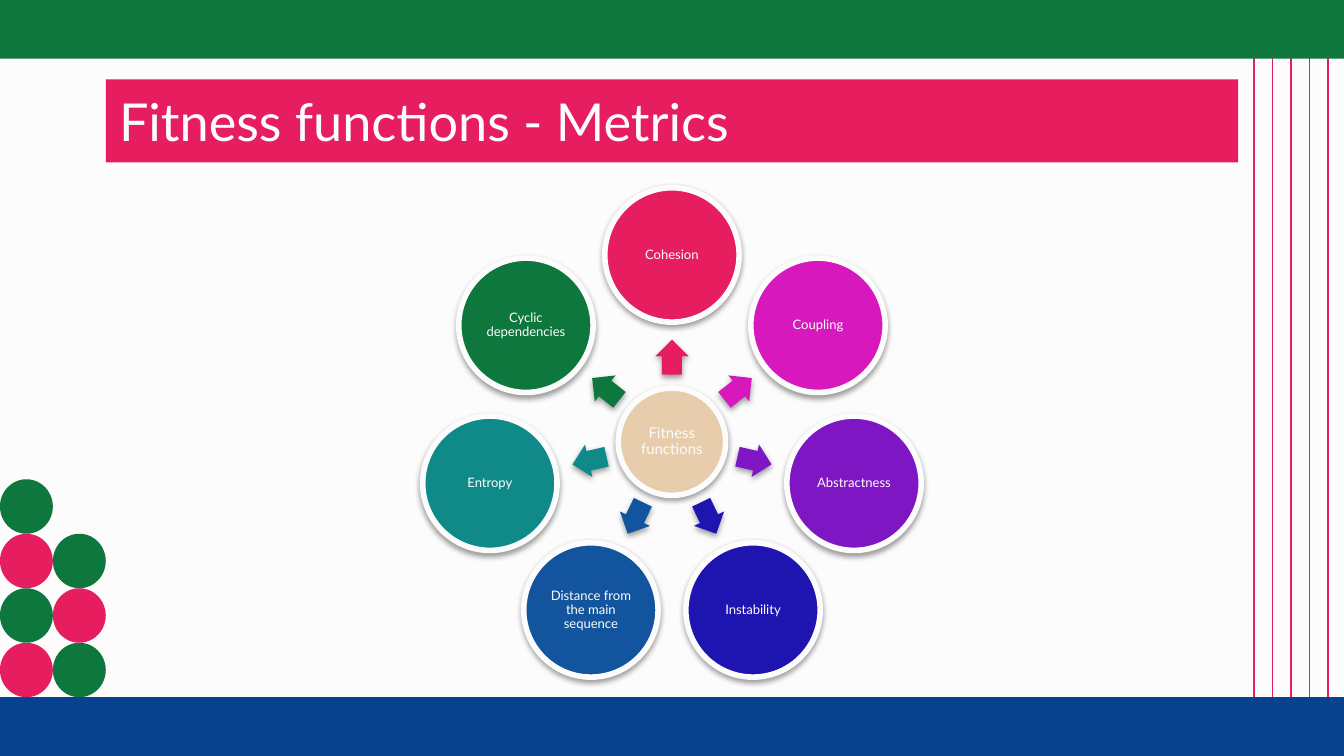
"""Build the fitness functions metrics slide."""
import math

from lxml import etree
from pptx import Presentation
from pptx import util as u
from pptx.dml.color import RGBColor
from pptx.enum import shapes, text
from pptx.oxml import ns

PAPER = RGBColor(0xFC, 0xFC, 0xFC)
PINK = RGBColor(0xE6, 0x1D, 0x5E)
GREEN = RGBColor(0x0E, 0x77, 0x3D)
NAVY = RGBColor(0x08, 0x41, 0x8E)
SAND = RGBColor(0xE7, 0xCD, 0xAC)
METRICS = [
    ("Cohesion", PINK),
    ("Coupling", RGBColor(0xD6, 0x18, 0xBC)),
    ("Abstractness", RGBColor(0x7E, 0x16, 0xC3)),
    ("Instability", RGBColor(0x1E, 0x14, 0xB0)),
    ("Distance from the main sequence", RGBColor(0x12, 0x54, 0x9D)),
    ("Entropy", RGBColor(0x10, 0x8A, 0x88)),
    ("Cyclic dependencies", GREEN),
]
WIDTH, HEIGHT = 25.4, 14.29
BAR_HEIGHT = 1.11
FLOOR = HEIGHT - BAR_HEIGHT
HUB_X, HUB_Y = 12.7, 8.35
METRIC_RADIUS, ARROW_RADIUS = 3.53, 1.6


def write_text(shape, words, size, align, inset, spacing=1.0, font="Lato", color=PAPER):
    frame = shape.text_frame
    frame.word_wrap = True
    frame.auto_size = text.MSO_AUTO_SIZE.NONE
    frame.vertical_anchor = text.MSO_ANCHOR.MIDDLE
    frame.margin_left = frame.margin_right = u.Cm(inset)
    frame.margin_top = frame.margin_bottom = u.Cm(inset)
    frame.text = words
    paragraph = frame.paragraphs[0]
    paragraph.alignment = align
    paragraph.line_spacing = spacing
    paragraph.font.size = u.Pt(size)
    paragraph.font.name = font
    paragraph.font.color.rgb = color


def add_shadow(shape):
    effects = shape._element.spPr.find(ns.qn("a:effectLst"))
    shadow = etree.SubElement(effects, ns.qn("a:outerShdw"), blurRad="40000",
                              dist="20000", dir="5400000", rotWithShape="0")
    color = etree.SubElement(shadow, ns.qn("a:srgbClr"), val="000000")
    etree.SubElement(color, ns.qn("a:alpha"), val="38000")


class SlideBuilder:
    """Hold the slide and draw its elements in one style."""

    def __init__(self, slide):
        self.slide = slide
        slide.background.fill.solid()
        slide.background.fill.fore_color.rgb = PAPER

    def title(self, words):
        shape = self.slide.shapes.title
        shape.left, shape.top = u.Cm(2.0), u.Cm(1.5)
        shape.width, shape.height = u.Cm(21.4), u.Cm(1.57)
        shape.fill.solid()
        shape.fill.fore_color.rgb = PINK
        write_text(shape, words, 28, text.PP_ALIGN.LEFT, 0.25)

    def block(self, kind, left, top, width, height, color):
        shape = self.slide.shapes.add_shape(
            kind, u.Cm(left), u.Cm(top), u.Cm(width), u.Cm(height))
        shape.shadow.inherit = False
        shape.fill.solid()
        shape.fill.fore_color.rgb = color
        shape.line.fill.background()
        return shape

    def stripe(self, x, weight):
        line = self.slide.shapes.add_connector(
            shapes.MSO_CONNECTOR.STRAIGHT, u.Cm(x), u.Cm(FLOOR), u.Cm(x), u.Cm(0.36))
        line.line.color.rgb = PINK
        line.line.width = u.Pt(weight)
        etree.SubElement(line._element.spPr, ns.qn("a:effectLst"))

    def circle(self, x, y, diameter, words, size, color):
        shape = self.block(shapes.MSO_SHAPE.OVAL, x - diameter / 2, y - diameter / 2,
                           diameter, diameter, color)
        shape.line.color.rgb = PAPER
        shape.line.width = u.Pt(3)
        add_shadow(shape)
        write_text(shape, words, size, text.PP_ALIGN.CENTER, 0.03, spacing=0.9)

    def arrow(self, x, y, rotation, color):
        width, height = 0.66, 0.63
        shape = self.block(shapes.MSO_SHAPE.RIGHT_ARROW, x - width / 2, y - height / 2,
                           width, height, color)
        shape.adjustments[0], shape.adjustments[1] = 0.6, 0.5
        shape.rotation = rotation
        add_shadow(shape)


def main():
    presentation = Presentation()
    presentation.slide_width, presentation.slide_height = u.Cm(WIDTH), u.Cm(HEIGHT)
    builder = SlideBuilder(presentation.slides.add_slide(presentation.slide_layouts[5]))

    for index in range(5):
        builder.stripe(23.7 + 0.35 * index, 1.25 if index == 2 else 0.75)
    for top, color in ((0, GREEN), (FLOOR, NAVY)):
        builder.block(shapes.MSO_SHAPE.RECTANGLE, 0, top, WIDTH, BAR_HEIGHT, color)
    for column, count in enumerate((4, 3)):
        for row in range(count):
            color = GREEN if (row + column) % 2 else PINK
            builder.block(shapes.MSO_SHAPE.OVAL, column, FLOOR - 1.03 * (row + 1),
                          1, 1.03, color)

    builder.title("Fitness functions - Metrics")
    builder.circle(HUB_X, HUB_Y, 2.03, "Fitness functions", 8, SAND)
    for index, (name, color) in enumerate(METRICS):
        degrees = 270 + 360 * index / len(METRICS)
        across, down = math.cos(math.radians(degrees)), math.sin(math.radians(degrees))
        builder.arrow(HUB_X + ARROW_RADIUS * across, HUB_Y + ARROW_RADIUS * down,
                      degrees % 360, color)
        builder.circle(HUB_X + METRIC_RADIUS * across, HUB_Y + METRIC_RADIUS * down,
                       2.54, name, 7, color)

    presentation.save("out.pptx")


if __name__ == "__main__":
    main()
